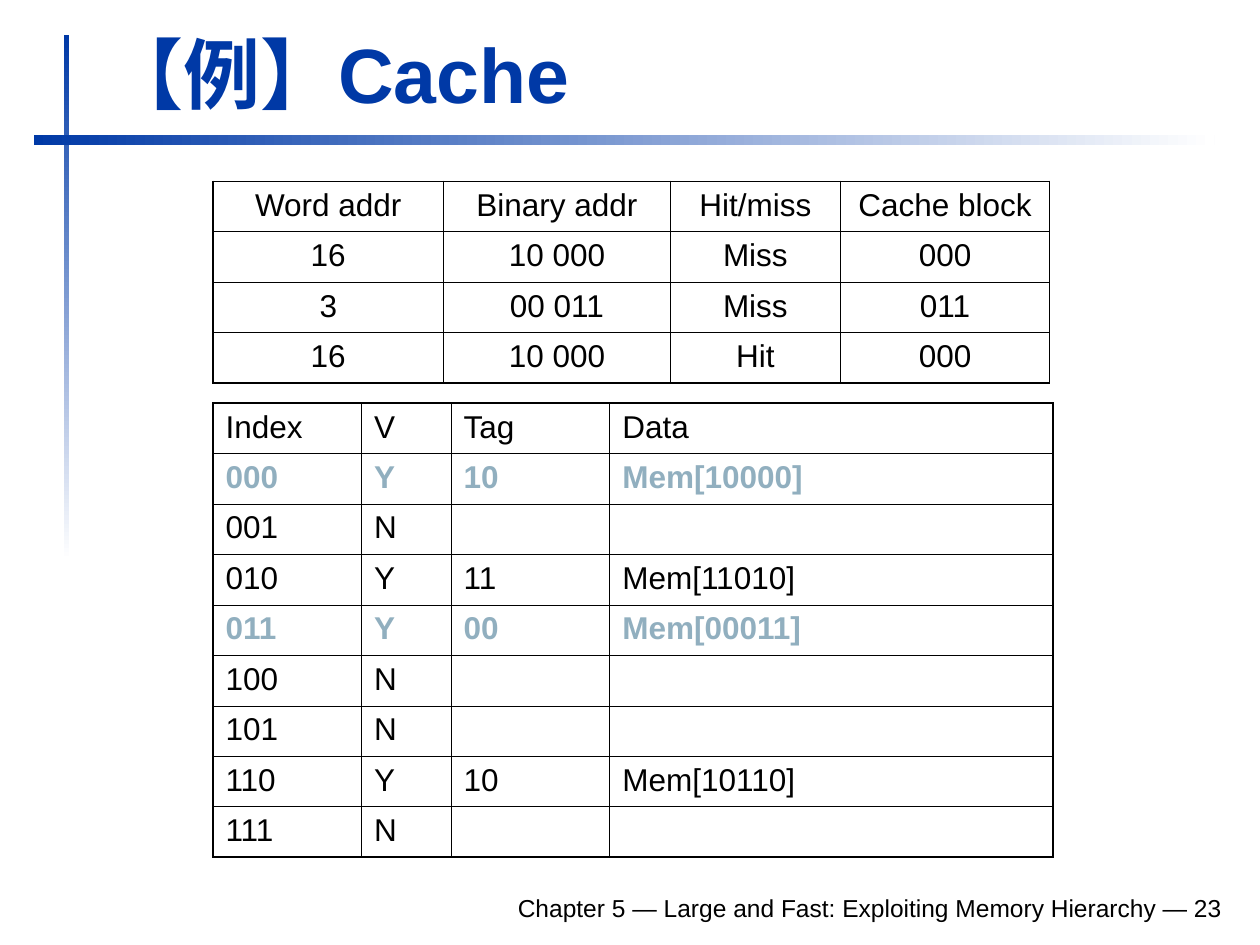
"""Builds the cache example slide: access trace above, cache contents below."""
from lxml import etree
from pptx import Presentation, util as u
from pptx.dml.color import RGBColor
from pptx.enum import shapes, text
from pptx.oxml.ns import qn

COLORS = {"blue": "0039A6", "white": "FFFFFF", "text": "000000", "changed": "91AFBF"}
FONT = "Arial"
TITLE = "【例】Cache"
FOOTER = "Chapter 5 — Large and Fast: Exploiting Memory Hierarchy — 23"
TABLE_LEFT, ROW_H = 1.69, 0.4
OUTER, HEADER, THIN = 1.08, 0.75, 0.45

BARS = [((0.51, 0.28, 0.04, 4.17), 270), ((0.27, 1.07, 9.37, 0.08), 0)]
CONTENTS = {
    "top": 3.2, "cols": [1.18, 0.71, 1.26, 3.52], "rule": THIN,
    "align": text.PP_ALIGN.LEFT, "changed": ("000", "011"),
    "rows": [
        ("Index", "V", "Tag", "Data"),
        ("000", "Y", "10", "Mem[10000]"),
        ("001", "N", "", ""),
        ("010", "Y", "11", "Mem[11010]"),
        ("011", "Y", "00", "Mem[00011]"),
        ("100", "N", "", ""),
        ("101", "N", "", ""),
        ("110", "Y", "10", "Mem[10110]"),
        ("111", "N", "", ""),
    ],
}
TRACE = {
    "top": 1.44, "cols": [1.83, 1.8, 1.35, 1.66], "rule": HEADER,
    "align": text.PP_ALIGN.CENTER, "changed": (),
    "rows": [
        ("Word addr", "Binary addr", "Hit/miss", "Cache block"),
        ("16", "10 000", "Miss", "000"),
        ("3", "00 011", "Miss", "011"),
        ("16", "10 000", "Hit", "000"),
    ],
}


def rgb(name):
    return RGBColor.from_string(COLORS[name])


def style(p, size, color, bold=False, align=text.PP_ALIGN.LEFT):
    p.alignment = align
    p.font.name, p.font.size, p.font.bold = FONT, u.Pt(size), bold
    p.font.color.rgb = rgb(color)


def add_bar(s, box, angle):
    sp = s.shapes.add_shape(shapes.MSO_SHAPE.RECTANGLE, *map(u.Inches, box))
    sp.shadow.inherit = False
    sp.line.fill.background()
    sp.fill.gradient()
    sp.fill.gradient_angle = angle
    for stop, color in zip(sp.fill.gradient_stops, ("blue", "white")):
        stop.color.rgb = rgb(color)


def add_text(s, box, words, **look):
    tf = s.shapes.add_textbox(*map(u.Inches, box)).text_frame
    tf.word_wrap = True
    tf.vertical_anchor = text.MSO_ANCHOR.BOTTOM
    tf.text = words
    style(tf.paragraphs[0], **look)
    return tf


def set_borders(cell, **widths):
    tc_pr = cell._tc.get_or_add_tcPr()
    for side, width in widths.items():
        ln = etree.SubElement(tc_pr, qn(f"a:ln{side}"), w=str(u.Pt(width)))
        fill = etree.SubElement(ln, qn("a:solidFill"))
        etree.SubElement(fill, qn("a:srgbClr"), val=COLORS["text"])


def add_table(s, data):
    rows, cols = data["rows"], data["cols"]
    box = (TABLE_LEFT, data["top"], sum(cols), ROW_H * len(rows))
    tbl = s.shapes.add_table(len(rows), len(cols), *map(u.Inches, box)).table
    tbl.first_row = tbl.horz_banding = False
    for col, width in zip(tbl.columns, cols):
        col.width = u.Inches(width)
    across = [OUTER, HEADER] + [data["rule"]] * (len(rows) - 2) + [OUTER]
    down = [OUTER] + [THIN] * (len(cols) - 1) + [OUTER]
    for i, row in enumerate(rows):
        changed = row[0] in data["changed"]
        for j, words in enumerate(row):
            cell = tbl.cell(i, j)
            cell.text = words
            style(cell.text_frame.paragraphs[0], 18,
                  "changed" if changed else "text", changed, data["align"])
            set_borders(cell, L=down[j], R=down[j + 1], T=across[i], B=across[i + 1])
            cell.fill.background()


def main():
    prs = Presentation()
    prs.slide_width, prs.slide_height = u.Inches(10), u.Inches(7.5)
    s = prs.slides.add_slide(prs.slide_layouts[6])
    for box, angle in BARS:
        add_bar(s, box, angle)
    add_text(s, (1.85, 6.98, 7.95, 0.39), FOOTER, size=14, color="text",
             align=text.PP_ALIGN.RIGHT)
    title = add_text(s, (0.75, 0.16, 9.03, 0.83), TITLE, size=44, color="blue", bold=True)
    title.auto_size = text.MSO_AUTO_SIZE.SHAPE_TO_FIT_TEXT
    for data in (CONTENTS, TRACE):
        add_table(s, data)
    prs.save("out.pptx")


if __name__ == "__main__":
    main()
